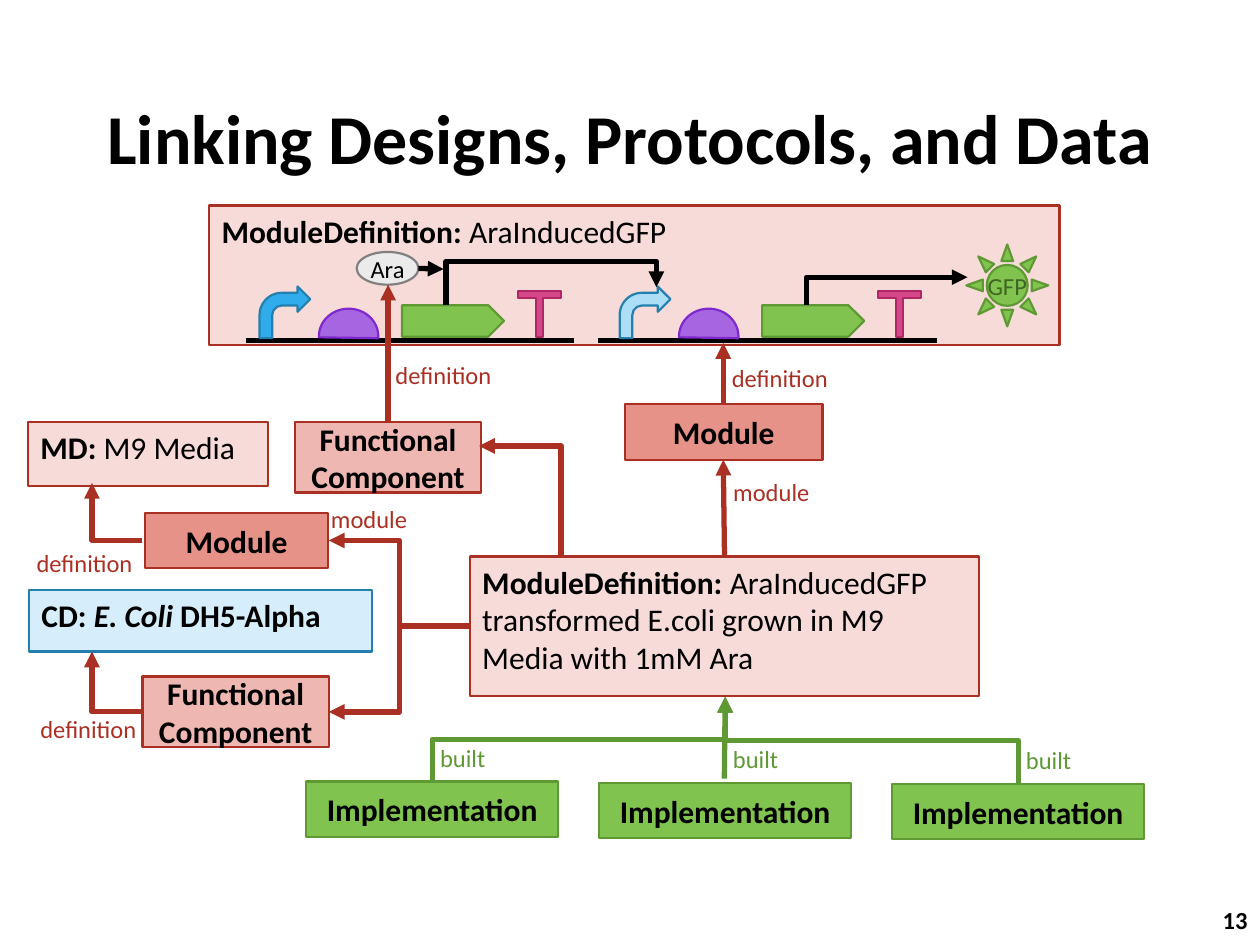
import collections

import lxml.etree
import pptx
import pptx.dml.color
import pptx.enum.shapes
import pptx.enum.text
import pptx.oxml.ns
import pptx.util

Pt = pptx.util.Pt
RGB = pptx.dml.color.RGBColor
SHAPE = pptx.enum.shapes.MSO_SHAPE
CONNECTOR = pptx.enum.shapes.MSO_CONNECTOR
ALIGN = pptx.enum.text.PP_ALIGN
ANCHOR = pptx.enum.text.MSO_ANCHOR
qn = pptx.oxml.ns.qn

BLACK = RGB(0x00, 0x00, 0x00)
RED = RGB(0xA9, 0x30, 0x23)
RED_PALE = RGB(0xF7, 0xDB, 0xD8)
RED_LIGHT = RGB(0xEF, 0xB7, 0xB1)
RED_MID = RGB(0xE6, 0x92, 0x89)
GREEN = RGB(0x80, 0xC3, 0x4F)
GREEN_DARK = RGB(0x5F, 0x99, 0x34)
GREEN_DEEP = RGB(0x3F, 0x66, 0x23)
BLUE = RGB(0x30, 0xAC, 0xEC)
BLUE_DARK = RGB(0x24, 0x7F, 0xAF)
BLUE_LIGHT = RGB(0xAC, 0xDE, 0xF7)
BLUE_PALE = RGB(0xD6, 0xEE, 0xFB)
PURPLE = RGB(0xA6, 0x66, 0xE1)
PURPLE_DARK = RGB(0x7E, 0x28, 0xCD)
PINK = RGB(0xD6, 0x47, 0x87)
PINK_DARK = RGB(0xAF, 0x27, 0x64)
GREY = RGB(0x80, 0x80, 0x80)
GREY_PALE = RGB(0xEB, 0xEB, 0xEB)

BOLD = {"bold": True}
PLAIN = {"bold": False}
BOLD_ITALIC = {"bold": True, "italic": True}


class Box(collections.namedtuple("Box", "left top width height")):
    def inner(self, left, top, width, height):
        return Box(self.left + left, self.top + top, width, height)

    def point(self, x, y):
        return self.left + x, self.top + y


def write(shape, spans, size, color=BLACK, align=ALIGN.LEFT, anchor=ANCHOR.TOP, wrap=True):
    """Fill a shape with one paragraph made of (text, format) spans."""
    frame = shape.text_frame
    frame.word_wrap = wrap
    frame.vertical_anchor = anchor
    para = frame.paragraphs[0]
    para.alignment = align
    for text, formats in spans:
        span = para.add_run()
        span.text = text
        span.font.color.rgb = color
        for name, value in {"name": "Calibri", "size": Pt(size), **formats}.items():
            setattr(span.font, name, value)


def add_text(page, box, spans, size, **layout):
    write(page.shapes.add_textbox(*map(Pt, box)), spans, size, **layout)


def add_label(page, position, text, color, width=71, wrap=False):
    add_text(page, Box(*position, width, 24.5), [(text, PLAIN)], 14, color=color, wrap=wrap)


def add_figure(page, kind, box, fill, line, adjustments=(), rotation=0):
    shape = page.shapes.add_shape(kind, *map(Pt, box))
    shape.shadow.inherit = False
    shape.fill.solid()
    shape.fill.fore_color.rgb = fill
    shape.line.color.rgb = line
    shape.line.width = Pt(1.25)
    shape.rotation = rotation
    for index, value in enumerate(adjustments):
        shape.adjustments[index] = value
    return shape


def add_card(page, box, fill, line, spans):
    write(add_figure(page, SHAPE.RECTANGLE, box, fill, line), spans, 18)


def add_node(page, box, fill, line, text):
    write(add_figure(page, SHAPE.RECTANGLE, box, fill, line), [(text, BOLD)], 18,
          align=ALIGN.CENTER, anchor=ANCHOR.MIDDLE)


def add_badge(page, kind, box, fill, line, text, color):
    write(add_figure(page, kind, box, fill, line), [(text, PLAIN)], 14, color=color,
          align=ALIGN.CENTER, anchor=ANCHOR.MIDDLE, wrap=False)


def add_line(page, start, end, color, kind=CONNECTOR.STRAIGHT, arrow=True):
    line = page.shapes.add_connector(kind, *map(Pt, (*start, *end)))
    line.line.color.rgb = color
    line.line.width = Pt(3)
    properties = line._element.spPr
    if arrow:
        lxml.etree.SubElement(properties.find(qn("a:ln")), qn("a:tailEnd"), type="triangle")
    lxml.etree.SubElement(properties, qn("a:effectLst"))
    return line


def add_elbow(page, start, end, color, bends=(), upward=False):
    """Draw a bent arrow; bends are its adjust values, upward makes it leave vertically."""
    if upward:
        # The frame is laid on its side about its centre, then turned by 270 degrees.
        (x1, y1), (x2, y2) = start, end
        middle_x, middle_y = (x1 + x2) / 2, (y1 + y2) / 2
        half_x, half_y = (y1 - y2) / 2, (x2 - x1) / 2
        start = middle_x - half_x, middle_y - half_y
        end = middle_x + half_x, middle_y + half_y
    line = add_line(page, start, end, color, CONNECTOR.ELBOW)
    properties = line._element.spPr
    if upward:
        properties.find(qn("a:xfrm")).set("rot", str(270 * 60000))
    geometry = properties.find(qn("a:prstGeom"))
    geometry.set("prst", f"bentConnector{2 + len(bends)}")
    guides = geometry.find(qn("a:avLst"))
    for number, bend in enumerate(bends, 1):
        lxml.etree.SubElement(guides, qn("a:gd"), name=f"adj{number}",
                              fmla=f"val {round(bend * 100000)}")


def draw_gene_unit(page, box, promoter_fill, lead):
    """Promoter, binding site, coding region and terminator on a strand that starts lead before the box."""
    add_line(page, box.point(-lead, 31), box.point(box.width, 31), BLACK, arrow=False)
    add_figure(page, SHAPE.CHORD, box.inner(33.9, 13, 34, 31.7), PURPLE, PURPLE_DARK, (106.9, 2.15))
    add_figure(page, SHAPE.PENTAGON, box.inner(81.4, 11, 58.3, 18), GREEN, GREEN_DARK)
    add_figure(page, SHAPE.LEFT_RIGHT_UP_ARROW, box.inner(147.6, 3, 24.5, 26), PINK, PINK_DARK,
               (0.18, 0.08, 0), 180)
    add_figure(page, SHAPE.BENT_ARROW, box.inner(0, 0.3, 29, 29.5), promoter_fill, BLUE_DARK)


def draw_circuit(page, box):
    add_card(page, box, RED_PALE, RED, [("ModuleDefinition: ", BOLD), ("AraInducedGFP", PLAIN)])
    draw_gene_unit(page, box.inner(28.8, 46, 180, 31), BLUE, 8)
    draw_gene_unit(page, box.inner(234.6, 46, 181.5, 31), BLUE_LIGHT, 12.3)
    add_elbow(page, box.point(135.4, 57), box.point(255.6, 46.7), BLACK, (0, 2.43))
    add_badge(page, SHAPE.OVAL, box.inner(84.3, 26.6, 35.3, 18.7), GREY_PALE, GREY, "Ara", BLACK)
    add_line(page, box.point(119.6, 36), box.point(134, 36.4), BLACK)
    add_badge(page, SHAPE.SUN, box.inner(432.7, 22.3, 46.8, 46.8), GREEN, GREEN_DARK, "GFP", GREEN_DEEP)
    add_elbow(page, box.point(341.3, 57), box.point(433.4, 41), BLACK, upward=True)


def draw_design(page, box):
    add_line(page, box.point(245.5, 87), box.point(244.8, 31.7), RED)
    add_line(page, box.point(244.8, 0), box.point(244.8, -35), RED)
    add_line(page, box.point(53.3, 10.2), box.point(53.3, -68.3), RED)
    add_node(page, box.inner(188.6, 0, 113, 31.7), RED_MID, RED, "Module")
    add_node(page, box.inner(0, 10.2, 106.5, 40.3), RED_LIGHT, RED, "Functional Component")
    add_card(page, box.inner(100, 87, 291, 80), RED_PALE, RED,
             [("ModuleDefinition: ", BOLD),
              ("AraInducedGFP transformed E.coli grown in M9 Media with 1mM Ara", PLAIN)])
    add_elbow(page, box.point(152, 87), box.point(105.2, 23.9), RED, upward=True)
    add_label(page, box.point(243.4, 38.3), "module", RED, width=59)
    add_label(page, box.point(50.4, -28.7), "definition", RED)
    add_label(page, box.point(242.6, -27.2), "definition", RED)


def draw_culture(page, box):
    """Growth medium and strain, each linked to the design by a node."""
    add_card(page, box.inner(0, 0, 137, 36.7), RED_PALE, RED, [("MD: ", BOLD), ("M9 Media", PLAIN)])
    add_card(page, box.inner(0.6, 96, 196, 35.3), BLUE_PALE, BLUE_DARK,
             [("CD: ", BOLD), ("E. Coli ", BOLD_ITALIC), ("DH5-Alpha", BOLD)])
    add_node(page, box.inner(67, 52, 104.4, 31.7), RED_MID, RED, "Module")
    add_node(page, box.inner(65.4, 145.6, 106.5, 40.3), RED_LIGHT, RED, "Functional Component")
    for middle, target in ((67.9, 35), (165.8, 131.3)):
        add_elbow(page, box.point(65.4, middle), box.point(36.6, target), RED)
        add_elbow(page, box.point(box.width, 116.8), box.point(172, middle), RED, (0.5,))
    add_label(page, box.point(-2.2, 68.4), "definition", RED)
    add_label(page, box.point(0, 163.5), "definition", RED)
    add_label(page, box.point(166, 43.2), "module", RED, width=144.7, wrap=True)


def draw_builds(page, box):
    """Three implementations that join in one arrow at the top centre of the box."""
    width, count = 144, 3
    step = (box.width - width) / (count - 1)
    target = box.point(box.width / 2, 0)
    for index in range(count):
        left, top = index * step, 48.4 + 0.7 * index
        middle = left + width / 2
        add_node(page, box.inner(left, top, width, 31.7), GREEN, GREEN_DARK, "Implementation")
        if index == 1:
            add_line(page, box.point(middle - 0.5, top - 2.3), target, GREEN_DARK)
        else:
            add_elbow(page, box.point(middle, top), target, GREEN_DARK, (0.5,), upward=True)
        add_label(page, box.point(middle - 2.6, top - 25.6), "built", GREEN_DARK, width=41)


def main():
    deck = pptx.Presentation()
    deck.slide_width, deck.slide_height = Pt(720), Pt(540)
    page = deck.slides.add_slide(deck.slide_layouts[6])
    add_text(page, Box(0, 0, 720, 156), [("Linking Designs, Protocols, and Data", BOLD)], 40,
             align=ALIGN.CENTER, anchor=ANCHOR.MIDDLE)
    add_text(page, Box(686, 511.2, 34, 28.8), [("13", BOLD)], 14,
             align=ALIGN.RIGHT, anchor=ANCHOR.MIDDLE)
    draw_circuit(page, Box(119.5, 117.4, 486, 80))
    draw_design(page, Box(168.5, 231, 391, 167))
    draw_culture(page, Box(16, 241, 252.6, 186))
    draw_builds(page, Box(175, 398.2, 478.8, 81.5))
    deck.save("out.pptx")


if __name__ == "__main__":
    main()
